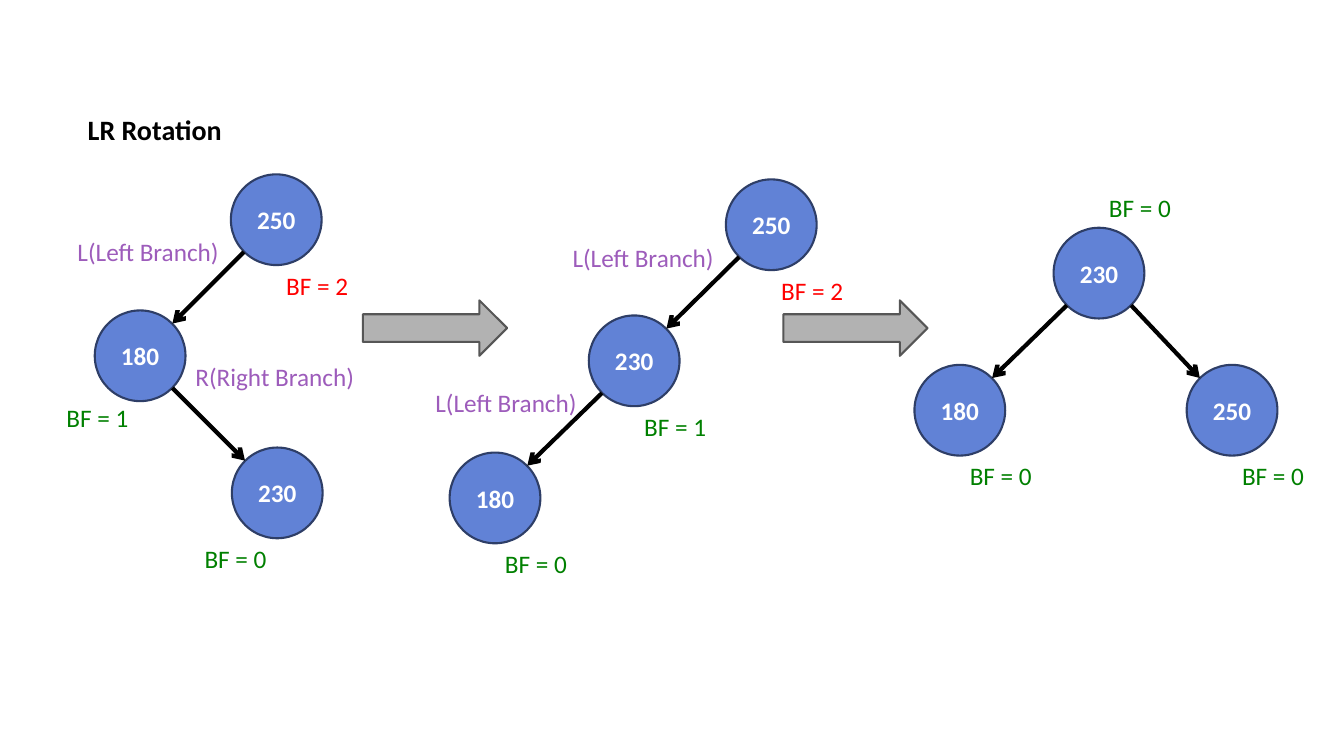
from dataclasses import dataclass

from lxml import etree
from pptx import Presentation
from pptx.dml.color import RGBColor
from pptx.enum.shapes import MSO_CONNECTOR, MSO_SHAPE
from pptx.enum.text import MSO_ANCHOR, MSO_AUTO_SIZE, PP_ALIGN
from pptx.oxml.ns import qn
from pptx.util import Inches, Pt

CIRCLE, RIGHT_ARROW = MSO_SHAPE.OVAL, MSO_SHAPE.RIGHT_ARROW
STRAIGHT = MSO_CONNECTOR.STRAIGHT
TOP, MIDDLE = MSO_ANCHOR.TOP, MSO_ANCHOR.MIDDLE
LEFT, CENTER = PP_ALIGN.LEFT, PP_ALIGN.CENTER
FIXED_SIZE = MSO_AUTO_SIZE.NONE

DIAMETER = 0.9
RADIUS = DIAMETER / 2
EDGE_INSET = 0.32
LABEL_HEIGHT = 0.4
BALANCE_WIDTH = 0.82
LEFT_BRANCH_WIDTH = 1.62
RIGHT_BRANCH_WIDTH = 1.97

BELOW_RIGHT = (0, RADIUS)
BELOW_LEFT = (-BALANCE_WIDTH, RADIUS)
BESIDE_LEFT = (-0.83, 0.41)
ABOVE_RIGHT = (0, -RADIUS - LABEL_HEIGHT)


@dataclass(frozen=True)
class Theme:
    font: str = "Calibri"
    title_size: int = 20
    text_size: int = 18
    outline_width: float = 1.5
    edge_width: float = 3
    black: str = "000000"
    white: str = "FFFFFF"
    node_fill: str = "6182D6"
    node_line: str = "2E3E67"
    step_fill: str = "B2B2B2"
    step_line: str = "565656"
    balanced: str = "008000"
    unbalanced: str = "FF0000"
    branch: str = "9D5CBB"


THEME = Theme()

TREES = [
    {
        "nodes": {
            250: (2.74, 2.18, 2, BELOW_RIGHT),
            180: (1.39, 3.53, 1, BESIDE_LEFT),
            230: (2.75, 4.89, 0, BELOW_LEFT),
        },
        "edges": [(250, 180, "L(Left Branch)", 0.12), (180, 230, "R(Right Branch)", 0.01)],
    },
    {
        "nodes": {
            250: (7.65, 2.23, 2, BELOW_RIGHT),
            230: (6.29, 3.58, 1, BELOW_RIGHT),
            180: (4.91, 4.94, 0, BELOW_RIGHT),
        },
        "edges": [(250, 230, "L(Left Branch)", 0.12), (230, 180, "L(Left Branch)", 0.21)],
    },
    {
        "nodes": {
            230: (10.9, 2.71, 0, ABOVE_RIGHT),
            180: (9.52, 4.07, 0, BELOW_RIGHT),
            250: (12.22, 4.07, 0, BELOW_RIGHT),
        },
        "edges": [(230, 180, None, 0), (230, 250, None, 0)],
    },
]


def write_text(shape, text, *, color, size=THEME.text_size, bold=False,
               align=LEFT, anchor=TOP, wrap=True):
    frame = shape.text_frame
    frame.text = text
    frame.word_wrap = wrap
    frame.auto_size = FIXED_SIZE
    frame.vertical_anchor = anchor
    paragraph = frame.paragraphs[0]
    paragraph.alignment = align
    font = paragraph.runs[0].font
    font.name = THEME.font
    font.size = Pt(size)
    font.bold = bold
    font.color.rgb = RGBColor.from_string(color)


def add_title(slide, text):
    title = slide.shapes.title
    title.left, title.top = Inches(0.77), Inches(1.07)
    title.width, title.height = Inches(1.53), Inches(0.43)
    write_text(title, text, color=THEME.black, size=THEME.title_size, bold=True, wrap=False)


def add_label(slide, text, left, top, width, color):
    label = slide.shapes.add_textbox(
        Inches(left), Inches(top), Inches(width), Inches(LABEL_HEIGHT))
    write_text(label, text, color=color)
    label.text_frame.margin_right = 0


def add_filled_shape(slide, kind, left, top, width, height, fill, line):
    shape = slide.shapes.add_shape(
        kind, Inches(left), Inches(top), Inches(width), Inches(height))
    shape.shadow.inherit = False
    shape.fill.solid()
    shape.fill.fore_color.rgb = RGBColor.from_string(fill)
    shape.line.color.rgb = RGBColor.from_string(line)
    shape.line.width = Pt(THEME.outline_width)
    return shape


def add_node(slide, key, x, y, balance, offset):
    node = add_filled_shape(slide, CIRCLE, x - RADIUS, y - RADIUS, DIAMETER, DIAMETER,
                            THEME.node_fill, THEME.node_line)
    write_text(node, str(key), color=THEME.white, bold=True, align=CENTER, anchor=MIDDLE)
    color = THEME.unbalanced if balance > 1 else THEME.balanced
    add_label(slide, f"BF = {balance}", x + offset[0], y + offset[1], BALANCE_WIDTH, color)


def add_edge(slide, parent, child, text, drop):
    parent_x, parent_y = parent[:2]
    child_x, child_y = child[:2]
    direction = 1 if child_x > parent_x else -1
    edge = slide.shapes.add_connector(
        STRAIGHT,
        Inches(parent_x + direction * EDGE_INSET), Inches(parent_y + EDGE_INSET),
        Inches(child_x - direction * EDGE_INSET), Inches(child_y - EDGE_INSET))
    edge.line.color.rgb = RGBColor.from_string(THEME.black)
    edge.line.width = Pt(THEME.edge_width)
    etree.SubElement(edge.line._get_or_add_ln(), qn("a:tailEnd"), type="arrow")
    etree.SubElement(edge._element.spPr, qn("a:effectLst"))
    if text:
        if direction > 0:
            left, width = parent_x + RADIUS, RIGHT_BRANCH_WIDTH
        else:
            left, width = parent_x - RADIUS - LEFT_BRANCH_WIDTH, LEFT_BRANCH_WIDTH
        add_label(slide, text, left, parent_y + drop, width, THEME.branch)


def add_tree(slide, nodes, edges):
    for key, node in nodes.items():
        add_node(slide, key, *node)
    for parent, child, text, drop in edges:
        add_edge(slide, nodes[parent], nodes[child], text, drop)


def main():
    presentation = Presentation()
    presentation.slide_width = Inches(13.33)
    presentation.slide_height = Inches(7.5)
    slide = presentation.slides.add_slide(presentation.slide_layouts.get_by_name("Title Only"))
    add_title(slide, "LR Rotation")
    for left in (3.6, 7.77):
        add_filled_shape(slide, RIGHT_ARROW, left, 2.98, 1.43, 0.55,
                         THEME.step_fill, THEME.step_line)
    for tree in TREES:
        add_tree(slide, **tree)
    presentation.save("out.pptx")


main()
